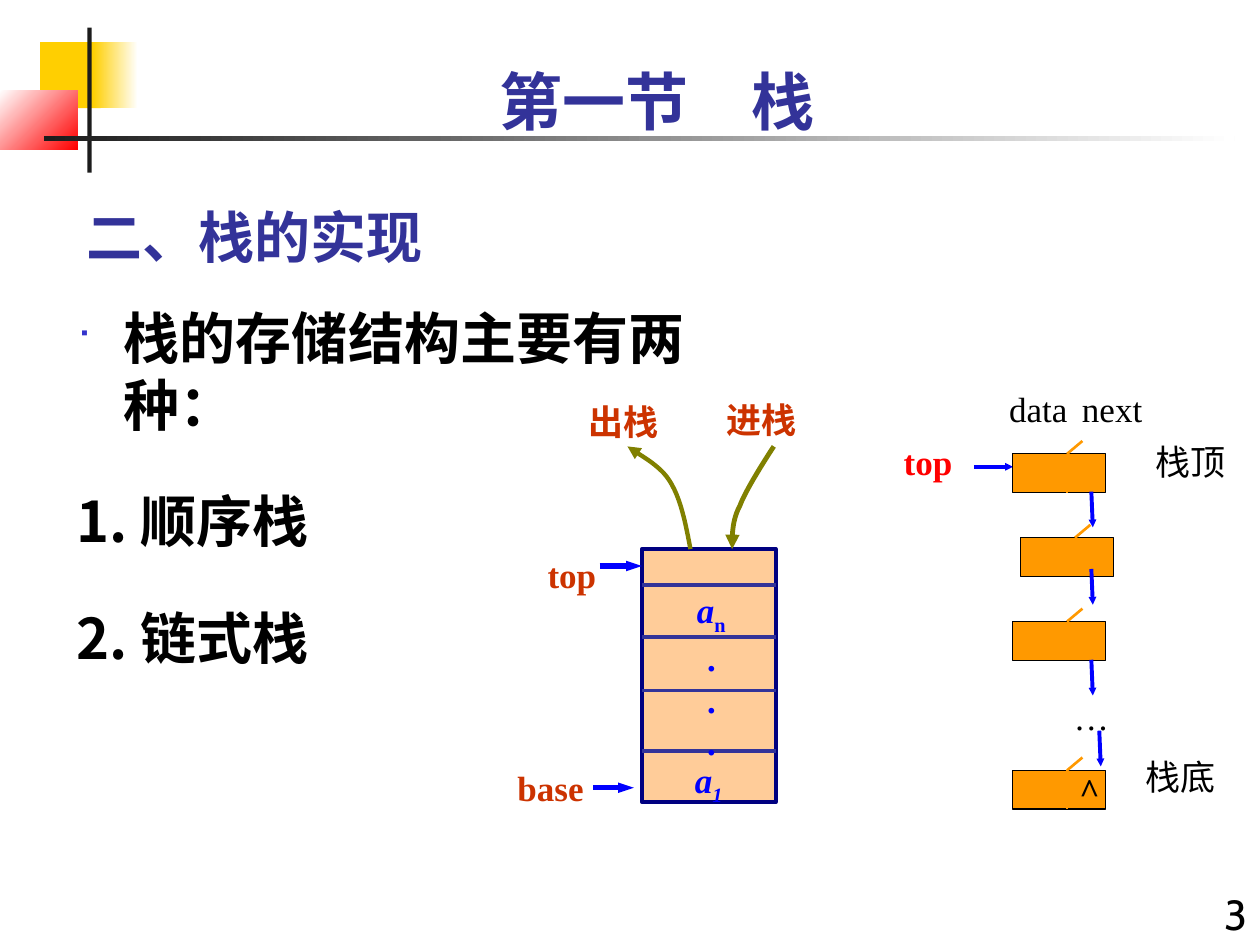
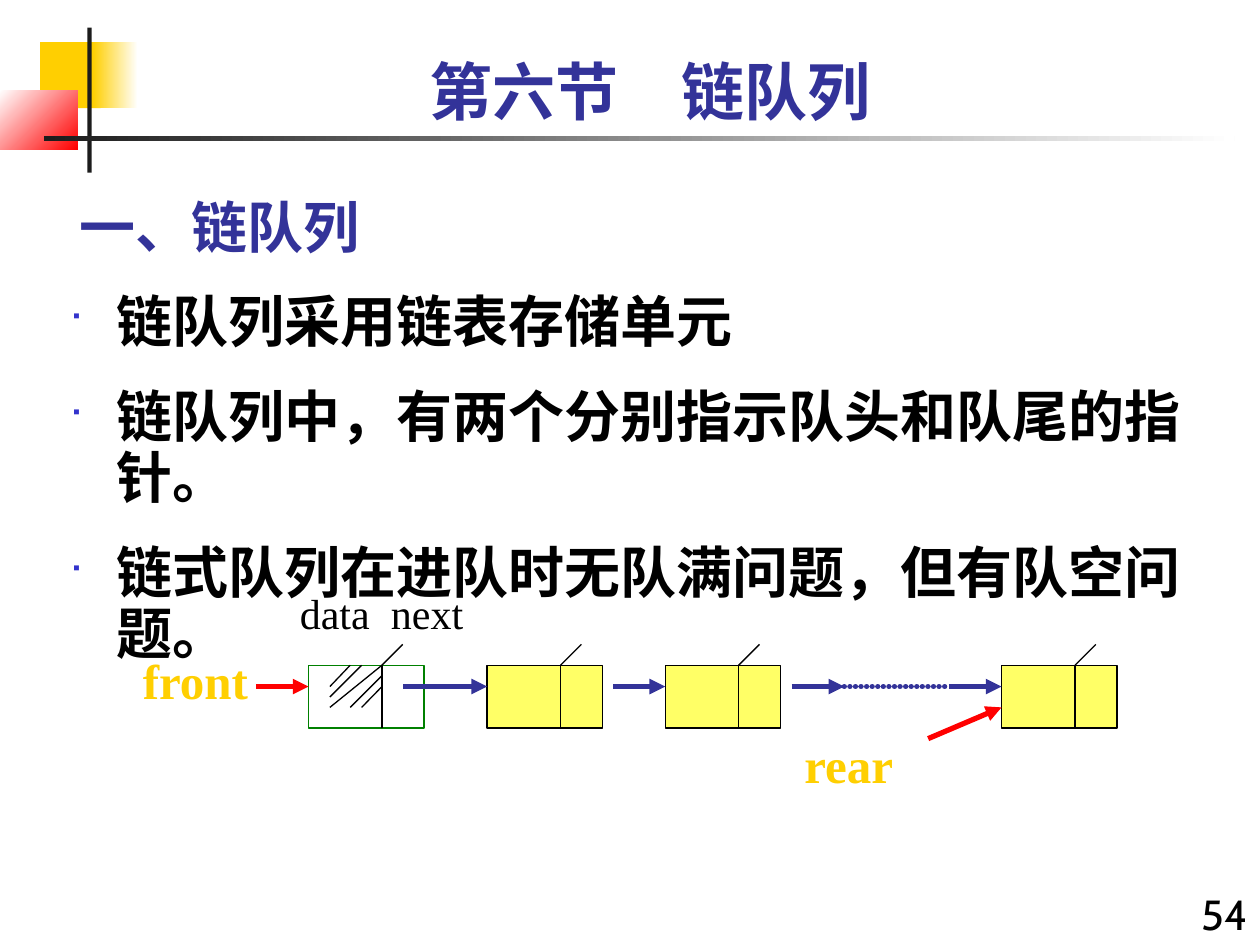
from lxml.etree import SubElement as Sub
from pptx import Presentation
from pptx.dml.color import RGBColor
from pptx.enum.shapes import MSO_CONNECTOR as Conn, MSO_SHAPE as Form
from pptx.enum.text import MSO_ANCHOR as Anchor, MSO_AUTO_SIZE as Auto, PP_ALIGN as Align
from pptx.oxml.ns import qn
from pptx.util import Cm, Pt

SANS, SERIF, CABIN = "Noto Sans CJK SC", "Times New Roman", "Cabin"
NAVY, BLUE, RED, RUST = "333399", "0000FF", "FF0000", "CC3300"
BLACK, WHITE, GOLD, DARK = "000000", "FFFFFF", "FFCF01", "1C1C1C"
ORANGE, LEMON, OLIVE, GREEN = "FF9900", "FFFF66", "808000", "008000"


def color(code):
    return RGBColor.from_string(code)


def bezier(a, b, c, d, steps=12):
    for i in range(1, steps + 1):
        t = i / steps
        u = 1 - t
        yield tuple(u**3 * p + 3 * u * u * t * q + 3 * u * t * t * r + t**3 * s
                    for p, q, r, s in zip(a, b, c, d))


class Deck:
    def __init__(self):
        self.prs = Presentation()
        self.prs.slide_width, self.prs.slide_height = Cm(25.4), Cm(19.05)
        self.layout = self.prs.slide_layouts[5]
        self.slide = None

    def start(self, section, title, page, x, y):
        first = self.slide is None
        self.slide = self.prs.slides.add_slide(self.layout)
        if first:
            self.band()
        head = self.slide.shapes.title
        head.left, head.top, head.width, head.height = Cm(x), Cm(y + 2.54), Cm(15.88), Cm(1.9)
        frame = head.text_frame
        frame.auto_size, frame.vertical_anchor = Auto.NONE, Anchor.BOTTOM
        para = frame.paragraphs[0]
        para.alignment = Align.LEFT
        self.run(para, title, 32, NAVY, SANS, True)
        para = self.text(23.7, 17.78, 1.7, 1.5, Align.RIGHT).paragraphs[0]
        self.run(para, page, 24, BLACK, CABIN)
        para = self.text(x, y, 23.5, 1.78, Align.CENTER).paragraphs[0]
        self.run(para, section, 36, NAVY, CABIN, True)

    def band(self):
        bars = [
            self.rect(0.81, 0.85, 1.22, 1.33, GOLD),
            self.rect(1.87, 0.85, 0.91, 1.33, (GOLD, WHITE, 0)),
            self.rect(0, 1.83, 1.57, 1.18, (WHITE, RED, 315)),
            self.rect(1.76, 0.56, 0.09, 2.92, DARK),
            self.rect(0.89, 2.75, 24, 0.09, (DARK, WHITE, 0)),
        ]
        for bar in bars:
            self.layout.shapes.element.append(bar.element)

    def run(self, para, text, size, ink, face=SERIF, bold=False, slant=False, base=0):
        run = para.add_run()
        run.text = text
        font = run.font
        font.size, font.name, font.bold, font.italic = Pt(size), face, bold, slant
        font.color.rgb = color(ink)
        props = font._element
        Sub(props, qn("a:ea")).set("typeface", SANS)
        if base:
            props.set("baseline", str(base * 1000))

    def text(self, x, y, w, h, align=Align.LEFT, side=0.25):
        frame = self.slide.shapes.add_textbox(Cm(x), Cm(y), Cm(w), Cm(h)).text_frame
        frame.word_wrap = True
        frame.margin_left = frame.margin_right = Cm(side)
        frame.margin_top = frame.margin_bottom = Cm(0.13)
        frame.paragraphs[0].alignment = align
        return frame

    def label(self, mid, y, text, ink=BLACK, size=20, bold=False, sub="", lean=False):
        para = self.text(mid - 1.27, y, 2.54, 1.12, Align.CENTER, 0).paragraphs[0]
        self.run(para, text, size, ink, bold=bold, slant=bool(sub))
        if sub:
            self.run(para, sub, size, ink, bold=bold, slant=lean, base=-25)

    def dots(self, mid, y, ink):
        frame = self.text(mid - 0.7, y, 1.4, 2.8, Align.CENTER)
        for i in range(3):
            para = frame.add_paragraph() if i else frame.paragraphs[0]
            para.alignment, para.line_spacing = Align.CENTER, Pt(24)
            self.run(para, ".", 20, ink, bold=True, slant=True)

    def body(self, x, y, w, h, items, gap, pitch=1.0):
        frame = self.text(x, y, w, h)
        for i, (mark, text) in enumerate(items):
            para = frame.add_paragraph() if i else frame.paragraphs[0]
            props = para._p.get_or_add_pPr()
            props.set("marL", str(Cm(0.95)))
            props.set("indent", str(-Cm(0.95)))
            if mark:
                Sub(Sub(props, qn("a:buClr")), qn("a:srgbClr")).set("val", "3333CC")
                Sub(props, qn("a:buSzPct")).set("val", "60000")
                Sub(props, qn("a:buFont")).set("typeface", "Wingdings")
                Sub(props, qn("a:buChar")).set("char", mark)
            para.line_spacing = pitch
            if i:
                para.space_before = Pt(gap)
            self.run(para, text, 32, BLACK, SANS, True)

    def rect(self, x, y, w, h, fill=None, ink=None, width=0.75):
        box = self.slide.shapes.add_shape(Form.RECTANGLE, Cm(x), Cm(y), Cm(w), Cm(h))
        box.shadow.inherit = False
        if fill is None:
            box.fill.background()
        elif isinstance(fill, tuple):
            box.fill.gradient()
            box.fill.gradient_angle = fill[2]
            for stop, code in zip(box.fill.gradient_stops, fill):
                stop.color.rgb = color(code)
        else:
            box.fill.solid()
            box.fill.fore_color.rgb = color(fill)
        if ink:
            self.stroke(box, ink, width)
        else:
            box.line.fill.background()
        return box

    def stroke(self, item, ink, width, tip=None, dotted=False):
        item.line.color.rgb = color(ink)
        item.line.width = Pt(width)
        edge = item.line._get_or_add_ln()
        if dotted:
            edge.set("cap", "rnd")
            dash = Sub(Sub(edge, qn("a:custDash")), qn("a:ds"))
            dash.set("d", "100000")
            dash.set("sp", "6000")
        if tip:
            end = Sub(edge, qn("a:tailEnd"))
            end.set("type", "triangle")
            end.set("w", tip[0])
            end.set("len", tip[1])

    def line(self, x, y, to_x, to_y, ink, width, tip=None, dotted=False):
        item = self.slide.shapes.add_connector(Conn.STRAIGHT, Cm(x), Cm(y), Cm(to_x), Cm(to_y))
        self.stroke(item, ink, width, tip, dotted)
        Sub(item.element.spPr, qn("a:effectLst"))

    def curve(self, knots, ink, width):
        pts = [p for i in range(0, len(knots) - 1, 3) for p in bezier(*knots[i:i + 4])]
        pen = self.slide.shapes.build_freeform(Cm(knots[0][0]), Cm(knots[0][1]))
        pen.add_line_segments([(Cm(x), Cm(y)) for x, y in pts], close=False)
        item = pen.convert_to_shape()
        item.shadow.inherit = False
        item.fill.background()
        self.stroke(item, ink, width, ("med", "med"))

    def node(self, x, y, size, cut, tick, fill, edge, ink, width):
        box = self.rect(x, y, *size, fill, edge)
        mid = x + cut
        self.line(mid, y, mid, y + size[1], ink, width)
        self.line(mid, y, mid + tick[0], y - tick[1], ink, width)
        return box


def stack(deck):
    deck.start("第一节　栈", "二、栈的实现", "3", 1.49, 1.13)
    deck.body(1.3, 5.99, 13.2, 10.8, [
        ("■", "栈的存储结构主要有两种："), ("", "1. 顺序栈"), ("", "2. 链式栈")], 28)

    left, right = 12.94, 15.64
    deck.rect(left, 11.07, right - left, 5.1, "FFCC99", "000080", 2.25)
    deck.label(14.29, 15.16, "a", BLUE, bold=True, sub="1", lean=True)
    for y in (11.79, 12.85, 13.92, 15.14):
        deck.line(left, y, right, y, NAVY, 2.25)
    for x, y, end in ((12.09, 11.41, left), (11.96, 15.88, 12.78)):
        deck.line(x, y, end, y, BLUE, 3, ("sm", "med"))
    deck.curve([(13.92, 11.07), (13.82, 10.54), (13.72, 10.03), (13.49, 9.68),
                (13.28, 9.35), (12.83, 9.14), (12.65, 9)], OLIVE, 2.5)
    deck.curve([(15.6, 9), (15.47, 9.2), (15.04, 9.86), (14.91, 10.21),
                (14.76, 10.49), (14.76, 10.79), (14.76, 11.07)], OLIVE, 2.75)
    deck.label(14.34, 11.73, "a", BLUE, bold=True, sub="n")
    deck.dots(14.37, 12.7, BLUE)
    for mid, y, word in ((11.53, 11.02, "top"), (11.1, 15.32, "base"),
                         (15.36, 7.9, "进栈"), (12.57, 7.95, "出栈")):
        deck.label(mid, y, word, RUST, bold=True)

    deck.label(18.71, 8.76, "top", RED, bold=True)
    small = ("sm", "sm")
    deck.line(19.63, 9.41, 20.42, 9.41, BLUE, 2.25, small)
    for x, y in ((20.41, 9.15), (20.57, 10.84), (20.41, 12.53), (20.41, 15.53)):
        last = deck.node(x, y, (1.88, 0.78), 1.1, (0.31, 0.26), ORANGE, BLACK, ORANGE, 1.5)
    frame = last.text_frame
    frame.vertical_anchor = Anchor.MIDDLE
    frame.margin_left, frame.margin_right = Cm(0), Cm(0.12)
    frame.margin_top = frame.margin_bottom = Cm(0.13)
    frame.paragraphs[0].alignment = Align.RIGHT
    deck.run(frame.paragraphs[0], "^", 20, BLACK, bold=True)
    for x, y in ((22, 9.91), (22, 11.47), (22, 13.3), (22.16, 14.73)):
        deck.line(x, y, x + 0.03, y + 0.72, BLUE, 2.25, small)
    for mid, y, word in ((20.93, 7.69, "data"), (22.42, 7.69, "next"), (22, 13.89, "…"),
                         (23.79, 15.11, "栈底"), (24.01, 8.76, "栈顶")):
        deck.label(mid, y, word)


def queue(deck):
    deck.start("第六节　链队列", "一、链队列", "54", 1.35, 0.93)
    lines = ("链队列采用链表存储单元", "链队列中，有两个分别指示队头和队尾的指针。",
             "链式队列在进队时无队满问题，但有队空问题。")
    deck.body(1.14, 5.79, 23.4, 11.23, [("■", text) for text in lines], 20, 0.9)

    deck.label(6.75, 11.71, "data", size=24)
    deck.label(8.61, 11.71, "next", size=24)
    top, mid, tip = 13.41, 13.84, ("med", "med")
    for x, fill, edge in ((6.22, None, GREEN), (9.82, LEMON, BLACK),
                          (13.41, LEMON, BLACK), (20.19, LEMON, BLACK)):
        deck.node(x, top, (2.33, 1.27), 1.48, (0.42, 0.42), fill, edge, BLACK, 0.75)
    for x, end in ((8.13, 9.82), (12.36, 13.41), (15.96, 17.02), (19.13, 20.19)):
        deck.line(x, mid, end, mid, NAVY, 3, tip)
    deck.line(17.02, mid, 19.13, mid, NAVY, 3, dotted=True)
    deck.line(5.16, mid, 6.22, mid, RED, 3, tip)
    deck.line(18.71, 14.89, 20.19, 14.26, RED, 3, tip)
    deck.label(3.94, 12.98, "front", GOLD, 28, True)
    deck.label(17.11, 14.68, "rear", GOLD, 28, True)
    for x, y, to_x, to_y in ((7.29, top, 6.65, 14.05), (7.7, 13.62, 7.06, 14.26),
                             (7.7, top, 6.65, 14.26), (7.7, mid, 7.29, 14.26),
                             (7.06, top, 6.65, mid)):
        deck.line(x, y, to_x, to_y, BLACK, 0.75)


def main():
    deck = Deck()
    stack(deck)
    queue(deck)
    deck.prs.save("out.pptx")


if __name__ == "__main__":
    main()
